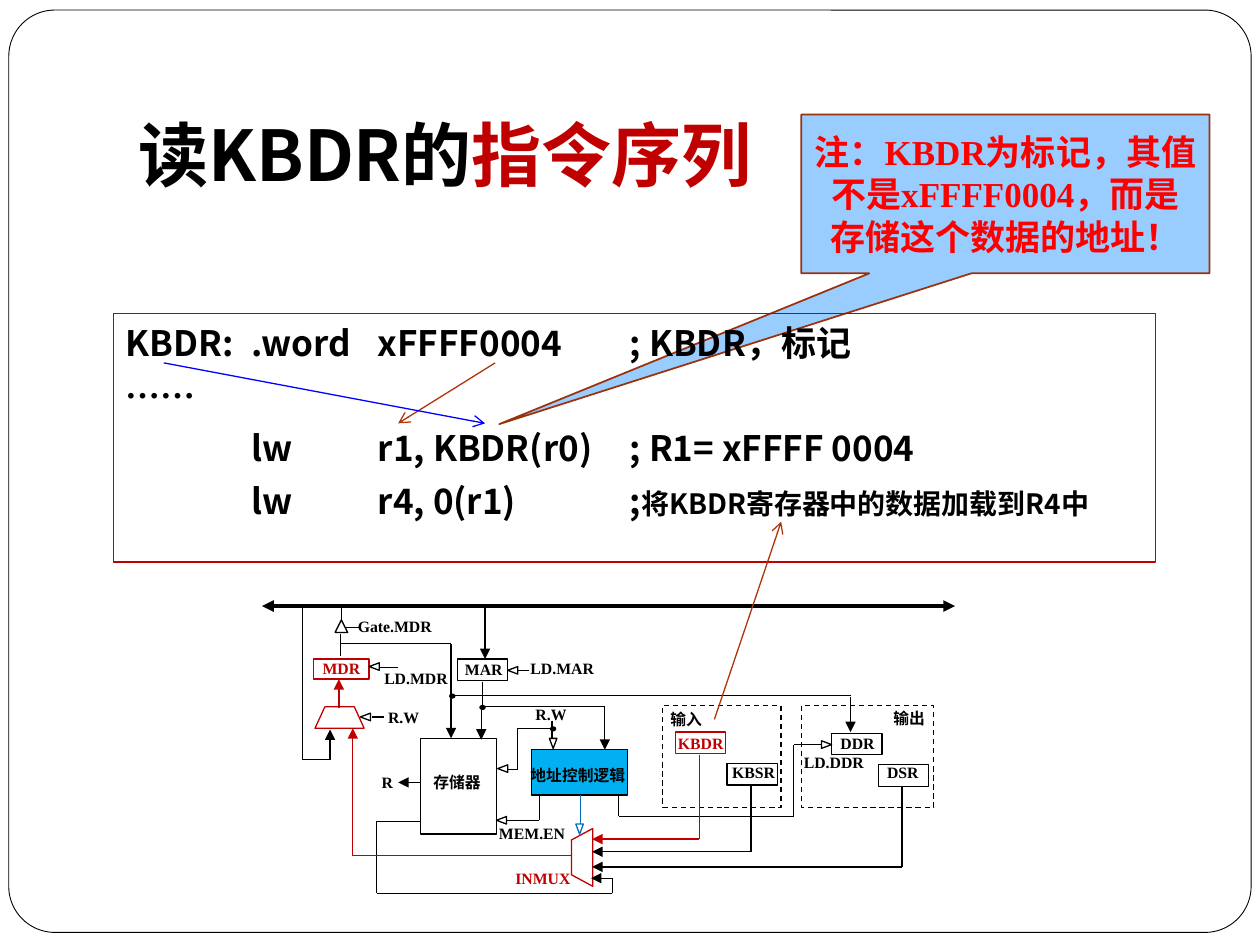
from dataclasses import dataclass

from pptx import Presentation
from pptx import util as u
from pptx.dml.color import RGBColor
from pptx.enum import dml, shapes, text
from pptx.oxml import parse_xml
from pptx.oxml.ns import nsdecls

COLUMNS, ROWS = 100, 75
KINDS = shapes.MSO_SHAPE


@dataclass(frozen=True)
class Theme:
    black: str = "000000"
    white: str = "FFFFFF"
    accent: str = "C00000"
    warning: str = "FF0000"
    note_fill: str = "99CCFF"
    note_line: str = "9B320E"
    pointer: str = "AF3408"
    link: str = "0000FF"
    logic: str = "00B0F0"
    select: str = "0070C0"
    sans: str = "Noto Sans CJK SC"
    serif: str = "Times New Roman"
    title_size: float = 40
    code_size: float = 20
    comment_size: float = 16
    label_size: float = 9
    thin: float = 0.75


THEME = Theme()
CELL = u.Inches(10) // COLUMNS


def cells(*counts):
    return [round(count * CELL) for count in counts]


def add_xml(parent, tag, body="", attributes=""):
    parent.append(parse_xml(f"<a:{tag} {nsdecls('a')} {attributes}>{body}</a:{tag}>"))


def write(para, words, size, font, color=THEME.black):
    span = para.add_run()
    span.text = words
    span.font.size = u.Pt(size)
    span.font.name = font
    span.font.bold = True
    span.font.color.rgb = RGBColor.from_string(color)
    add_xml(span.font._element, "ea", attributes=f'typeface="{THEME.sans}"')


def set_frame(box, side, top, bottom, anchor):
    frame = box.text_frame
    frame.word_wrap = True
    frame.margin_left = frame.margin_right = u.Inches(side)
    frame.margin_top, frame.margin_bottom = u.Inches(top), u.Inches(bottom)
    frame.vertical_anchor = anchor
    return frame


def add_box(page, place, kind=KINDS.RECTANGLE, line=THEME.black, fill=None,
            width=THEME.thin, turn=0, dashed=False):
    box = page.shapes.add_shape(kind, *cells(*place))
    box.shadow.inherit = False
    box.rotation = turn
    box.line.color.rgb = RGBColor.from_string(line)
    box.line.width = u.Pt(width)
    if dashed:
        box.line.dash_style = dml.MSO_LINE.DASH
    if fill:
        box.fill.solid()
        box.fill.fore_color.rgb = RGBColor.from_string(fill)
    else:
        box.fill.background()
    return box


def add_label(page, words, place, color=THEME.black):
    box = page.shapes.add_textbox(*cells(*place))
    frame = set_frame(box, 0.02, 0.01, 0.01, text.MSO_ANCHOR.MIDDLE)
    write(frame.paragraphs[0], words, THEME.label_size, THEME.serif, color)


def add_wire(page, points, color=THEME.black, tail=None, head=None, width=THEME.thin):
    last = len(points) - 2
    for index, (start, end) in enumerate(zip(points, points[1:])):
        wire = page.shapes.add_connector(shapes.MSO_CONNECTOR.STRAIGHT, *cells(*start, *end))
        wire.line.color.rgb = RGBColor.from_string(color)
        wire.line.width = u.Pt(width)
        outline = wire.line._get_or_add_ln()
        if head and index == 0:
            add_xml(outline, "headEnd", attributes=f'type="{head}"')
        if tail and index == last:
            add_xml(outline, "tailEnd", attributes=f'type="{tail}"')
        add_xml(wire._element.spPr, "effectLst")


def add_title(page):
    title = page.shapes.title
    title.left, title.top, title.width, title.height = cells(10, 3, 85, 12.5)
    frame = set_frame(title, 0.1, 0.05, 0, text.MSO_ANCHOR.BOTTOM)
    para = frame.paragraphs[0]
    para.alignment = text.PP_ALIGN.LEFT
    write(para, "读KBDR的", THEME.title_size, THEME.sans)
    write(para, "指令序列", THEME.title_size, THEME.sans, THEME.accent)


def add_note(page):
    note = add_box(page, (63.6, 9.1, 32.4, 12.6), KINDS.RECTANGULAR_CALLOUT,
                   THEME.note_line, THEME.note_fill, 1)
    note.adjustments[0], note.adjustments[1] = -1.24, 1.45
    para = set_frame(note, 0.1, 0.05, 0.05, text.MSO_ANCHOR.MIDDLE).paragraphs[0]
    para.alignment = text.PP_ALIGN.CENTER
    para.line_spacing = u.Pt(24)
    write(para, "注：KBDR为标记，其值不是xFFFF0004，而是存储这个数据的地址！",
          THEME.code_size, THEME.serif, THEME.warning)


def add_code(page):
    box = add_box(page, (9, 24.9, 82.7, 19.7), line=THEME.accent)
    frame = set_frame(box, 0.1, 0.06, 0.05, text.MSO_ANCHOR.TOP)
    lines = [("KBDR:\t.word\txFFFF0004\t; KBDR，标记", ""),
             ("……", ""),
             ("\tlw\tr1, KBDR(r0) \t; R1= xFFFF 0004", ""),
             ("\tlw\tr4, 0(r1) \t;", "将KBDR寄存器中的数据加载到R4中")]
    stops = "".join(f'<a:tab pos="{u.Inches(stop)}" algn="l"/>' for stop in range(8))
    for index, (code, comment) in enumerate(lines):
        para = frame.add_paragraph() if index else frame.paragraphs[0]
        add_xml(para._p.get_or_add_pPr(), "tabLst", stops)
        para.alignment = text.PP_ALIGN.LEFT
        para.line_spacing = u.Pt(24.2)
        if index:
            para.space_before = u.Pt(5.8)
        write(para, code, THEME.code_size, THEME.sans)
        if comment:
            write(para, comment, THEME.comment_size, THEME.sans)


def add_blocks(page):
    red = THEME.accent
    for place, color in [((24.9, 52.3, 4.4, 1.6), red), ((36.3, 52.3, 4, 1.7), THEME.black),
                         ((33.4, 58.6, 6, 7.6), THEME.black), ((53.6, 58.1, 4, 1.7), red),
                         ((57.7, 60.6, 4, 1.7), THEME.black), ((66, 58.2, 4, 1.7), THEME.black),
                         ((69.7, 60.7, 4, 1.7), THEME.black)]:
        add_box(page, place, line=color)
    add_box(page, (42.2, 59.5, 7.6, 3.6), fill=THEME.logic)
    for left, width in [(52.6, 9.4), (63.6, 10.5)]:
        add_box(page, (left, 56, width, 8.1), dashed=True)
    for place, turn in [((25, 56.1, 3.9, 1.7), 180), ((43.9, 67.2, 4.6, 1.7), 90)]:
        add_box(page, place, KINDS.FLOWCHART_MANUAL_OPERATION, red, turn=turn)


def add_wires(page):
    red = THEME.accent
    add_wire(page, [(20.8, 48.1), (75.8, 48.1)], tail="triangle", head="triangle", width=2.25)
    plain = [[(27.1, 48.2), (27.1, 49.3)], [(27.4, 49.8), (28.6, 49.8)],
             [(27, 50.3), (27, 52.1)], [(30, 53), (31.6, 53)], [(41, 53.2), (42, 53.2)],
             [(35.7, 55.2), (67.5, 55.2)], [(38.3, 54.1), (38.3, 56.2)],
             [(43.8, 57.2), (43.8, 58.6)], [(29.5, 56.9), (30.5, 56.9)],
             [(43.8, 57.8), (41.1, 57.8), (41.1, 61.1), (40.2, 61.1)],
             [(42.8, 63), (42.8, 65.1), (40.2, 65.1)],
             [(49.1, 63.1), (49.1, 64.8), (63, 64.8), (63, 59.1), (65.4, 59.1)]]
    arrows = [[(24, 48), (24, 60.3), (26.2, 60.3), (26.2, 57.9)],
              [(27, 51.1), (35.8, 51.1), (35.8, 58.6)], [(38.5, 48.2), (38.5, 52.3)],
              [(33.4, 62.1), (31.6, 62.1)], [(38.2, 56.1), (38.2, 58.7)],
              [(38.3, 56.1), (48, 56.1), (48, 59.5)], [(67.5, 55.3), (67.5, 58.1)],
              [(33.3, 65.2), (29.9, 65.2), (29.9, 70.9), (48.6, 70.9), (48.6, 69.7), (46.9, 69.7)],
              [(59.6, 62.4), (59.6, 67.6), (47, 67.6)], [(71.6, 62.4), (71.6, 68.8), (47, 68.8)]]
    red_arrows = [[(26.9, 56.2), (26.9, 53.9)], [(45.3, 67.9), (28, 67.9), (28, 57.8)],
                  [(55.5, 59.9), (55.5, 66.6), (47, 66.6)]]
    for points in plain:
        add_wire(page, points)
    for points in arrows:
        add_wire(page, points, tail="triangle")
    for points in red_arrows:
        add_wire(page, points, red, "triangle")
    add_wire(page, [(46.1, 63.1), (46.1, 65.4)], THEME.select)


def add_markers(page):
    add_box(page, (26.6, 49.2, 1, 1), KINDS.FLOWCHART_EXTRACT, fill=THEME.white)
    for left, top, turn, color in [
            (29.4, 52.5, 270, THEME.black), (40.4, 52.8, 270, THEME.black),
            (43.6, 58.6, 180, THEME.black), (39.6, 60.6, 270, THEME.black),
            (39.5, 64.7, 270, THEME.black), (45.7, 65.4, 180, THEME.select),
            (65.3, 58.7, 90, THEME.black), (28.7, 56.5, 270, THEME.black)]:
        add_box(page, (left, top, 0.6, 0.8), KINDS.FLOWCHART_EXTRACT, color, THEME.white, turn=turn)
    for left, top in [(35.7, 55.1), (38.1, 56), (43.7, 57.7)]:
        add_box(page, (left, top, 0.4, 0.3), KINDS.OVAL, fill=THEME.black)


def add_labels(page):
    for words, *place in [
            ("Gate.MDR", 28.2, 48.6, 7, 2.2), ("LD.MDR", 30.3, 52.7, 5.6, 2.2),
            ("MAR", 36.7, 52, 3.5, 2.2), ("LD.MAR", 41.9, 51.9, 5.6, 2.2),
            ("存储器", 34.2, 60.7, 4.3, 2.7), ("MEM.EN", 39.4, 64.9, 6.8, 2.4),
            ("R", 30.1, 61, 1.6, 2.1), ("地址控制逻辑", 41.9, 59.6, 8.5, 3.9),
            ("R.W", 42.3, 55.6, 3.4, 2.2), ("R.W", 30.6, 55.8, 3.4, 2.2),
            ("KBSR", 57.9, 60.2, 3.9, 2.2), ("DDR", 66.5, 57.9, 3.9, 2.2),
            ("DSR", 70.2, 60.2, 3.9, 2.2), ("输出", 70.7, 55.9, 3.7, 2.2),
            ("输入", 53, 56, 3.7, 2.2), ("LD.DDR", 63.6, 59.4, 5.6, 2.2)]:
        add_label(page, words, place)
    for words, *place in [("MDR", 25.4, 51.9, 3.5, 2.2), ("KBDR", 53.6, 57.8, 5.2, 2.3),
                          ("INMUX", 40.7, 68.6, 5.6, 2.2)]:
        add_label(page, words, place, THEME.accent)


def add_pointers(page):
    add_wire(page, [(39.3, 28.8), (31.6, 33.6)], THEME.pointer, "arrow")
    add_wire(page, [(56.7, 57.1), (62, 41.4)], THEME.pointer, "arrow")
    add_wire(page, [(13, 28.8), (38.5, 33.6)], THEME.link, "arrow")


def main():
    deck = Presentation()
    deck.slide_width, deck.slide_height = cells(COLUMNS, ROWS)
    page = deck.slides.add_slide(deck.slide_layouts[5])
    border = add_box(page, (0.7, 0.8, 98.6, 73.2), KINDS.ROUNDED_RECTANGLE, width=0.5)
    border.adjustments[0] = 0.05
    for add_part in (add_note, add_title, add_code, add_blocks, add_wires,
                     add_markers, add_labels, add_pointers):
        add_part(page)
    deck.save("out.pptx")


if __name__ == "__main__":
    main()
